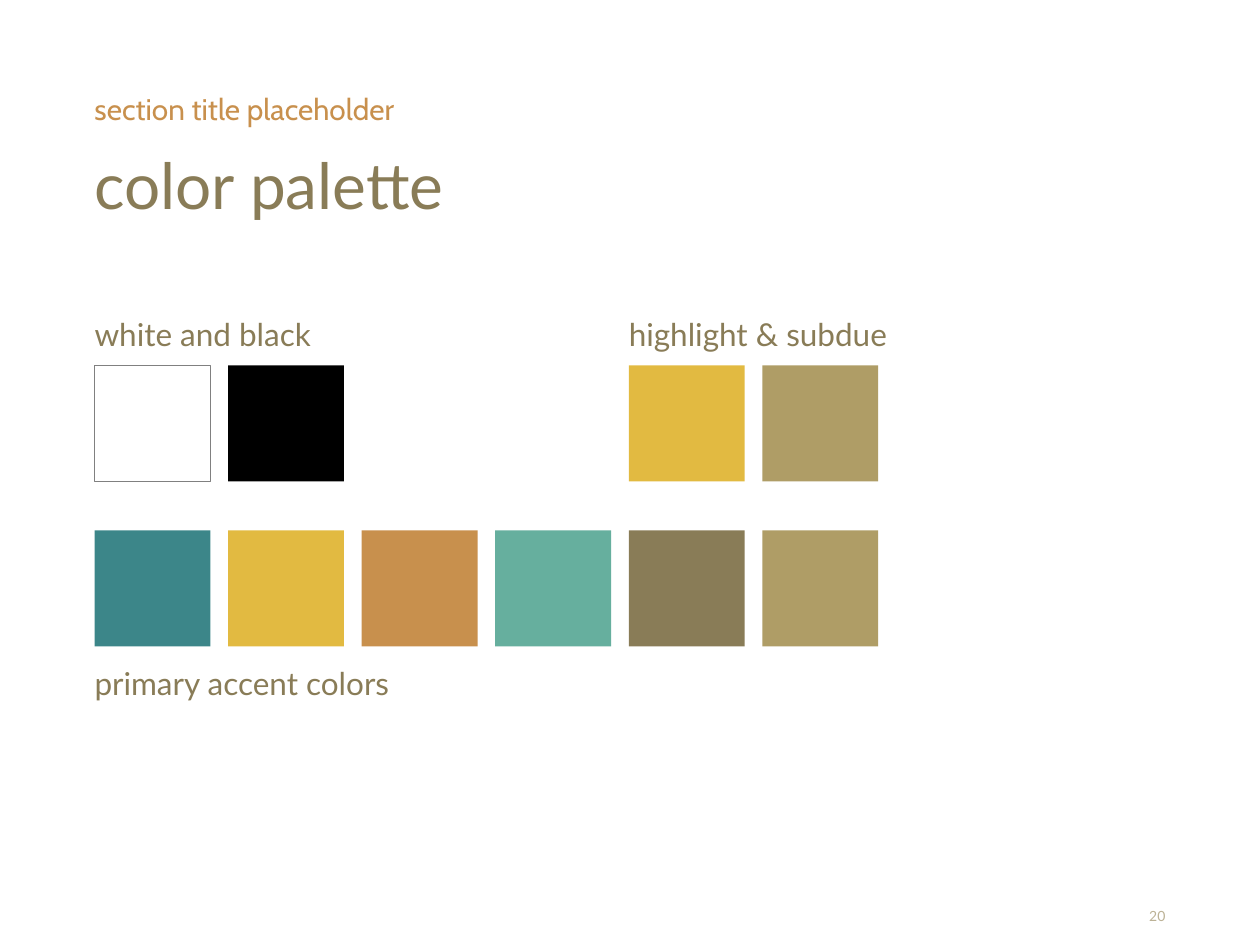
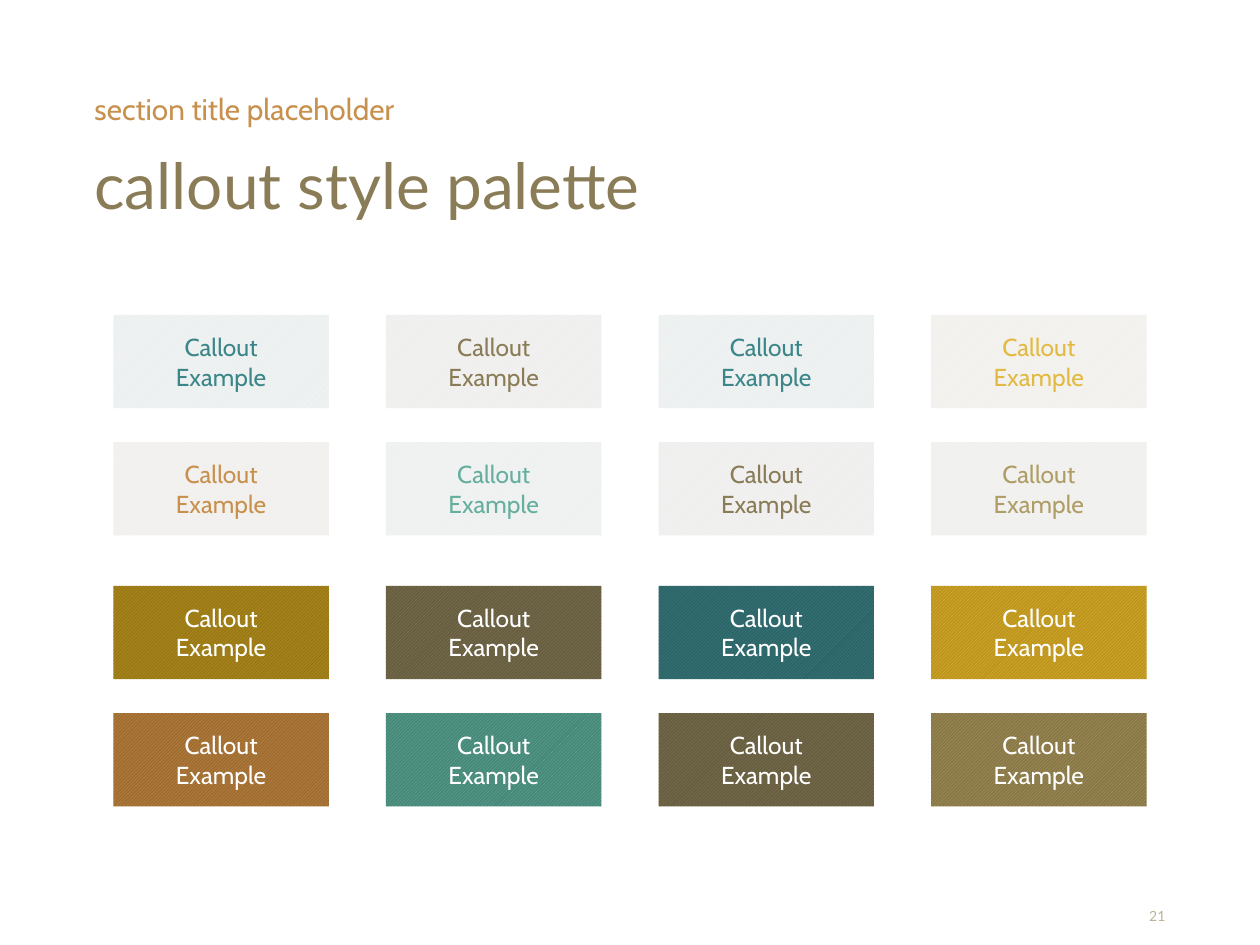
from pptx import Presentation
from pptx.dml.color import RGBColor
from pptx.enum.dml import MSO_PATTERN
from pptx.enum.shapes import MSO_SHAPE
from pptx.enum.text import MSO_ANCHOR as Anchor, MSO_AUTO_SIZE as AutoSize, PP_ALIGN as Align
from pptx.util import Inches, Pt

# Shared style
HEADING_FONT, BODY_FONT = "Lato", "Cabin"
WHITE, BLACK, GRAY, PALE = "FFFFFF", "000000", "808080", "F2F2F2"
TEAL, GOLD, COPPER, MINT, OLIVE, SAND = (
    "3C8689", "E2BA41", "C8904D", "66AF9E", "897C57", "AF9D66")
NUMBER_COLOR = "BCB296"
LEFT, CONTENT_WIDTH = 0.75, 8.5

# Content
SECTION = "section title placeholder"
PALETTE_TITLE, PALETTE_NUMBER = "color palette", "20"
CALLOUT_TITLE, CALLOUT_NUMBER = "callout style palette", "21"
CALLOUT_TEXT = "Callout Example"

# Swatch groups: first column, top, colours
SWATCH_GROUPS = [
    (0, 2.9, [WHITE, BLACK]),
    (4, 2.9, [GOLD, SAND]),
    (0, 4.21, [TEAL, GOLD, COPPER, MINT, OLIVE, SAND]),
]
# Swatch labels: text, first column, top, width, height
SWATCH_LABELS = [
    ("white and black", 0, 2.44, 1.98, 0.36),
    ("highlight & subdue", 4, 2.44, 2.42, 0.36),
    ("primary accent colors", 0, 5.21, 6.21, 0.33),
]
# Callout rows: top, then (stripe, background, text) for each callout
CALLOUT_ROWS = [
    (2.5, [("D3EBEC", PALE, TEAL), ("E9E5DC", PALE, OLIVE),
           ("D3EBEC", PALE, TEAL), ("F9F1D9", PALE, GOLD)]),
    (3.51, [("F4E9DB", PALE, COPPER), ("E0EFEC", PALE, MINT),
            ("E9E5DC", PALE, OLIVE), ("EFEBE0", PALE, SAND)]),
    (4.65, [("7E6413", "A48219", WHITE), (OLIVE, "675D41", WHITE),
            (TEAL, "2D6467", WHITE), (GOLD, "BD951D", WHITE)]),
    (5.66, [(COPPER, "9F6D31", WHITE), (MINT, "478879", WHITE),
            (OLIVE, "675D41", WHITE), (SAND, "887847", WHITE)]),
]

# Grids
SWATCH_SIZE, SWATCH_STEP = 0.92, 1.06
CALLOUT_WIDTH, CALLOUT_HEIGHT = 1.71, 0.74
CALLOUT_LEFT, CALLOUT_LAST_LEFT = 0.9, 7.39


def rgb(color):
    return RGBColor.from_string(color)


def box(left, top, width, height):
    return [Inches(value) for value in (left, top, width, height)]


def write(shape, text, font, size, color, align=Align.LEFT, anchor=Anchor.TOP,
          spacing=1.0, inset=0):
    frame = shape.text_frame
    frame.word_wrap = True
    frame.auto_size = AutoSize.NONE
    frame.vertical_anchor = anchor
    frame.margin_left = frame.margin_right = Inches(inset)
    frame.margin_top = frame.margin_bottom = Inches(inset)
    paragraph = frame.paragraphs[0]
    paragraph.alignment = align
    paragraph.line_spacing = spacing
    run = paragraph.add_run()
    run.text = text
    run.font.name = font
    run.font.size = Pt(size)
    run.font.color.rgb = rgb(color)


def add_text(slide, place, *text_style, **layout):
    write(slide.shapes.add_textbox(*box(*place)), *text_style, **layout)


def add_rectangle(slide, place):
    shape = slide.shapes.add_shape(MSO_SHAPE.RECTANGLE, *box(*place))
    shape.shadow.inherit = False
    shape.line.fill.background()
    return shape


def add_slide(presentation, title, number):
    slide = presentation.slides.add_slide(presentation.slide_layouts[5])
    heading = slide.shapes.title
    heading.left, heading.top, heading.width, heading.height = box(
        LEFT, 1.25, CONTENT_WIDTH, 1)
    write(heading, title, HEADING_FONT, 36.5, OLIVE, spacing=0.85)
    add_text(slide, (LEFT, 0.76, CONTENT_WIDTH, 0.49), SECTION, BODY_FONT, 17, COPPER,
             spacing=0.85)
    add_text(slide, (8.93, 7.21, 0.32, 0.13), number, HEADING_FONT, 8, NUMBER_COLOR,
             align=Align.RIGHT, anchor=Anchor.BOTTOM)
    return slide


def swatch_left(column):
    return LEFT + column * SWATCH_STEP


def build_color_palette(presentation):
    slide = add_slide(presentation, PALETTE_TITLE, PALETTE_NUMBER)
    # Swatches
    for first_column, top, colors in SWATCH_GROUPS:
        for column, color in enumerate(colors, first_column):
            swatch = add_rectangle(
                slide, (swatch_left(column), top, SWATCH_SIZE, SWATCH_SIZE))
            swatch.fill.solid()
            swatch.fill.fore_color.rgb = rgb(color)
            if color == WHITE:
                swatch.line.color.rgb = rgb(GRAY)
                swatch.line.width = Pt(0.25)
    # Labels
    for text, column, top, width, height in SWATCH_LABELS:
        add_text(slide, (swatch_left(column), top, width, height), text,
                 HEADING_FONT, 18, OLIVE, spacing=1.2)


def build_callout_palette(presentation):
    slide = add_slide(presentation, CALLOUT_TITLE, CALLOUT_NUMBER)
    for top, callouts in CALLOUT_ROWS:
        step = (CALLOUT_LAST_LEFT - CALLOUT_LEFT) / (len(callouts) - 1)
        for column, (stripe, background, text_color) in enumerate(callouts):
            callout = add_rectangle(
                slide, (CALLOUT_LEFT + column * step, top, CALLOUT_WIDTH, CALLOUT_HEIGHT))
            callout.fill.patterned()
            callout.fill.pattern = MSO_PATTERN.DARK_UPWARD_DIAGONAL
            callout.fill.fore_color.rgb = rgb(stripe)
            callout.fill.back_color.rgb = rgb(background)
            write(callout, CALLOUT_TEXT, BODY_FONT, 14, text_color,
                  align=Align.CENTER, anchor=Anchor.MIDDLE, inset=0.25)


def main():
    presentation = Presentation()
    presentation.slide_width, presentation.slide_height = Inches(10), Inches(7.5)
    build_color_palette(presentation)
    build_callout_palette(presentation)
    presentation.save("out.pptx")


if __name__ == "__main__":
    main()
